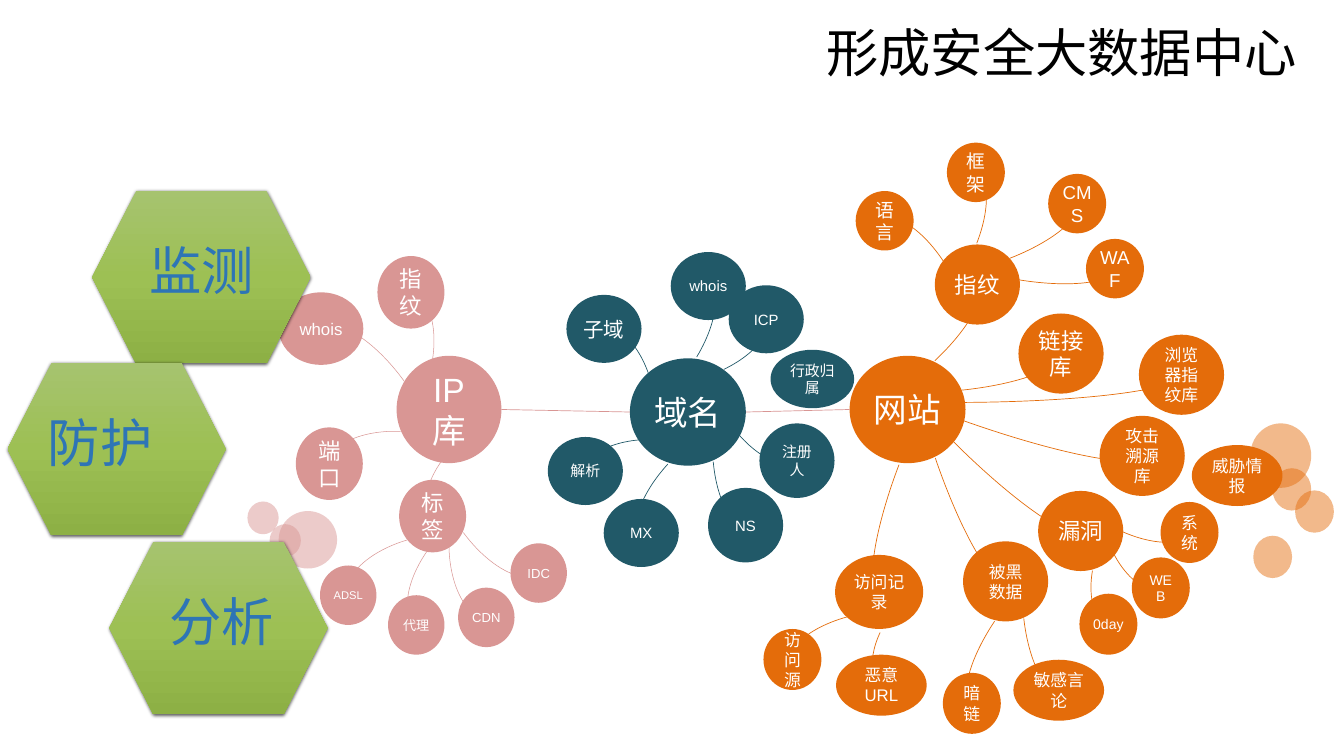
from math import atan2, cos, degrees, hypot, sin

from lxml import etree
from pptx import Presentation
from pptx.dml.color import RGBColor
from pptx.enum.shapes import MSO_CONNECTOR, MSO_SHAPE
from pptx.enum.text import MSO_AUTO_SIZE, PP_ALIGN
from pptx.oxml.ns import qn
from pptx.util import Inches, Pt

ARC, CIRCLE, HEXAGON = MSO_SHAPE.ARC, MSO_SHAPE.OVAL, MSO_SHAPE.HEXAGON
STRAIGHT, CENTER = MSO_CONNECTOR.STRAIGHT, PP_ALIGN.CENTER
GROW = MSO_AUTO_SIZE.SHAPE_TO_FIT_TEXT
PINK, TEAL, ORANGE, WHITE, BLACK = "D99694", "215968", "E46C0A", "FFFFFF", "000000"
GREENS, STAGE_BLUE = ("A6C36F", "9DC054", "8DB045"), "2E75B6"
BODY, CJK = "Arial", "Noto Sans CJK SC"
HEADING_SIZE, HEADING_HEIGHT = 74.7, 1.36
HEXAGON_SIZE, LABEL_WIDTH = (4.33, 3.42), 2.3

TITLE = ("形成安全大数据中心", 15.62, 0.36, 10.89)
STAGES = [("监测", 1.83, 3.79, 0), ("防护", 0.15, 7.2, -0.33), ("分析", 2.17, 10.75, 0.06)]

# width, height, text size
STYLES = {
    "core": (2.3, 2.13, 48), "ip core": (2.08, 2.13, 48),
    "ip": (1.33, 1.44, 32), "ip wide": (1.68, 1.44, 24),
    "tag": (1.12, 1.18, 18.7), "tag small": (1.12, 1.18, 16),
    "domain": (1.49, 1.35, 21.3), "domain large": (1.49, 1.35, 29.3),
    "domain tall": (1.49, 1.48, 21.3), "domain wide": (1.66, 1.16, 21.3),
    "topic": (1.69, 1.59, 32), "topic detail": (1.69, 1.59, 24),
    "leaf large": (1.15, 1.18, 26.7), "leaf": (1.15, 1.21, 24),
    "leaf latin": (1.15, 1.21, 20), "leaf wide": (1.8, 1.21, 24),
    "record": (1.75, 1.47, 24),
}

# text, hub, style, left, top
CLUSTERS = [
    (PINK, 0.75, 1.45, [
        ("IP库", None, "ip core", 7.87, 7.06),
        ("指纹", "IP库", "ip", 7.49, 5.08),
        ("whois", "IP库", "ip wide", 5.53, 5.8),
        ("端口", "IP库", "ip", 5.87, 8.48),
        ("标签", "IP库", "ip", 7.92, 9.52),
        ("ADSL", "标签", "tag small", 6.35, 11.22),
        ("代理", "标签", "tag", 7.7, 11.81),
        ("CDN", "标签", "tag", 9.09, 11.66),
        ("IDC", "标签", "tag", 10.13, 10.78),
    ]),
    (TEAL, 1, 1.06, [
        ("域名", None, "core", 12.5, 7.11),
        ("子域", "域名", "domain large", 11.24, 5.85),
        ("whois", "域名", "domain", 13.31, 5),
        ("ICP", "域名", "domain", 14.46, 5.66),
        ("行政归属", None, "domain wide", 15.29, 6.94),
        ("注册人", "域名", "domain tall", 15.07, 8.4),
        ("NS", "域名", "domain tall", 14.05, 9.68),
        ("MX", "域名", "domain", 11.98, 9.9),
        ("解析", "域名", "domain", 10.87, 8.67),
    ]),
    (ORANGE, 1, 1.06, [
        ("网站", None, "core", 16.86, 7.06),
        ("指纹", "网站", "topic", 18.55, 4.85),
        ("语言", "指纹", "leaf large", 16.98, 3.79),
        ("框架", "指纹", "leaf large", 18.79, 2.83),
        ("CMS", "指纹", "leaf large", 20.8, 3.45),
        ("WAF", "指纹", "leaf large", 21.55, 4.74),
        ("链接库", "网站", "topic", 20.21, 6.22),
        ("浏览器指纹库", "网站", "topic detail", 22.6, 6.64),
        ("攻击溯源库", "网站", "topic detail", 21.82, 8.25),
        ("威胁情报", None, "leaf wide", 23.65, 8.83),
        ("漏洞", "网站", "topic", 20.6, 9.74),
        ("系统", "漏洞", "leaf", 23.03, 9.96),
        ("WEB", "漏洞", "leaf latin", 22.46, 11.06),
        ("0day", "漏洞", "leaf latin", 21.42, 11.78),
        ("被黑数据", "网站", "topic detail", 19.11, 10.74),
        ("暗链", "被黑数据", "leaf", 18.71, 13.35),
        ("敏感言论", "被黑数据", "leaf wide", 20.11, 13.09),
        ("访问记录", "网站", "record", 16.57, 11.01),
        ("访问源", "访问记录", "leaf", 15.15, 12.48),
        ("恶意URL", "访问记录", "leaf wide", 16.59, 12.99),
    ]),
]

# width, height, opacity, corners
BUBBLES = [
    (PINK, 1.16, 1.14, 49, [(5.53, 10.14)]),
    (PINK, 0.62, 0.65, 49, [(4.91, 9.95), (5.35, 10.4)]),
    (ORANGE, 1.21, 1.28, 47, [(24.81, 8.4)]),
    (ORANGE, 0.77, 0.84, 47, [(25.25, 9.29), (25.7, 9.73), (24.87, 10.63)]),
]


def rgb(color):
    return RGBColor.from_string(color)


def child(parent, tag, **attributes):
    return etree.SubElement(parent, qn(tag), {k: str(v) for k, v in attributes.items()})


def add_shadow(parent):
    effects = child(parent, "a:effectLst")
    shadow = child(effects, "a:outerShdw", blurRad=Pt(4.5), dist=Pt(1.5),
                   dir=5400000, algn="ctr", rotWithShape=0)
    child(child(shadow, "a:srgbClr", val=BLACK), "a:alpha", val=63000)
    return effects


def add_outline(slide, kind, *box):
    shape = slide.shapes.add_shape(kind, *map(Inches, box))
    shape.shadow.inherit = False
    shape.line.fill.background()
    return shape


def write(frame, words, size, color, font=BODY):
    frame.text = words
    paragraph = frame.paragraphs[0]
    paragraph.alignment = CENTER
    run = paragraph.runs[0]
    run.font.size, run.font.name = Pt(size), font
    run.font.color.rgb = rgb(color)
    return run


def middle(box):
    left, top, width, height = box
    return left + width / 2, top + height / 2


def add_branch(slide, hub, node, color, weight, breadth):
    (hub_x, hub_y), (x, y) = middle(hub), middle(node)
    distance = hypot(hub_x - x, hub_y - y)
    reach = 1 - (hub[2] + hub[3]) / 4 / distance
    run, rise, chord = (hub_x - x) * reach, (hub_y - y) * reach, distance * reach
    across = min(breadth / 2, chord * 0.45)
    along = (chord ** 2 - across ** 2) ** 0.5
    turn = atan2(rise, run) - atan2(along, across)
    center_x, center_y = x - along * sin(turn), y + along * cos(turn)
    arc = add_outline(slide, ARC, center_x - across, center_y - along, 2 * across, 2 * along)
    arc.fill.background()
    arc.line.color.rgb, arc.line.width = rgb(color), Pt(weight)
    arc.rotation = degrees(turn) % 360


def add_circle(slide, box, color, opacity=100):
    circle = add_outline(slide, CIRCLE, *box)
    circle.fill.solid()
    circle.fill.fore_color.rgb = rgb(color)
    if opacity < 100:
        tint = circle._element.spPr.find(".//" + qn("a:srgbClr"))
        child(tint, "a:alpha", val=opacity * 1000)
    return circle


def add_cluster(slide, color, weight, breadth, nodes):
    boxes = {words: (left, top, *STYLES[style][:2]) for words, _, style, left, top in nodes}
    for words, hub, *_ in nodes:
        if hub:
            add_branch(slide, boxes[hub], boxes[words], color, weight, breadth)
    for words, _, style, *_ in nodes:
        node = add_circle(slide, boxes[words], color)
        write(node.text_frame, words, STYLES[style][2], WHITE)
    return boxes[nodes[0][0]]


def add_link(slide, start, end):
    points = (start[0] + start[2], middle(start)[1], end[0], middle(end)[1])
    link = slide.shapes.add_connector(STRAIGHT, *map(Inches, points))
    link.line.color.rgb, link.line.width = rgb(PINK), Pt(1)
    child(link._element.spPr, "a:effectLst")


def add_heading(slide, words, left, top, width, color, font=BODY, wrap=False):
    box = (left, top, width, HEADING_HEIGHT)
    frame = slide.shapes.add_textbox(*map(Inches, box)).text_frame
    frame.word_wrap, frame.auto_size = wrap, GROW
    return write(frame, words, HEADING_SIZE, color, font)


def add_stage(slide, words, left, top, shift):
    hexagon = add_outline(slide, HEXAGON, left, top, *HEXAGON_SIZE)
    hexagon.adjustments[0] = 0.255
    properties = hexagon._element.spPr
    properties.remove(properties.find(qn("a:effectLst")))
    gradient = child(properties, "a:gradFill", rotWithShape=1)
    stops = child(gradient, "a:gsLst")
    for step, color in enumerate(GREENS):
        child(child(stops, "a:gs", pos=step * 50000), "a:srgbClr", val=color)
    child(gradient, "a:lin", ang=5400000, scaled=0)
    properties.find(qn("a:prstGeom")).addnext(gradient)
    add_shadow(properties)
    x, y = middle((left, top, *HEXAGON_SIZE))
    add_heading(slide, words, x + shift - LABEL_WIDTH / 2,
                y - HEADING_HEIGHT / 2 - 0.14, LABEL_WIDTH, STAGE_BLUE)


def main():
    deck = Presentation()
    deck.slide_width, deck.slide_height = Inches(26.67), Inches(15)
    slide = deck.slides.add_slide(deck.slide_layouts[6])
    for color, width, height, opacity, corners in BUBBLES:
        for corner in corners:
            add_circle(slide, (*corner, width, height), color, opacity)
    cores = [add_cluster(slide, *cluster) for cluster in CLUSTERS]
    for start, end in zip(cores, cores[1:]):
        add_link(slide, start, end)
    for stage in STAGES:
        add_stage(slide, *stage)
    title = add_heading(slide, *TITLE, BLACK, CJK, wrap=True)
    properties = title.font._element
    child(properties, "a:ea", typeface=CJK)
    properties.find(qn("a:solidFill")).addnext(add_shadow(properties))
    deck.save("out.pptx")


if __name__ == "__main__":
    main()
